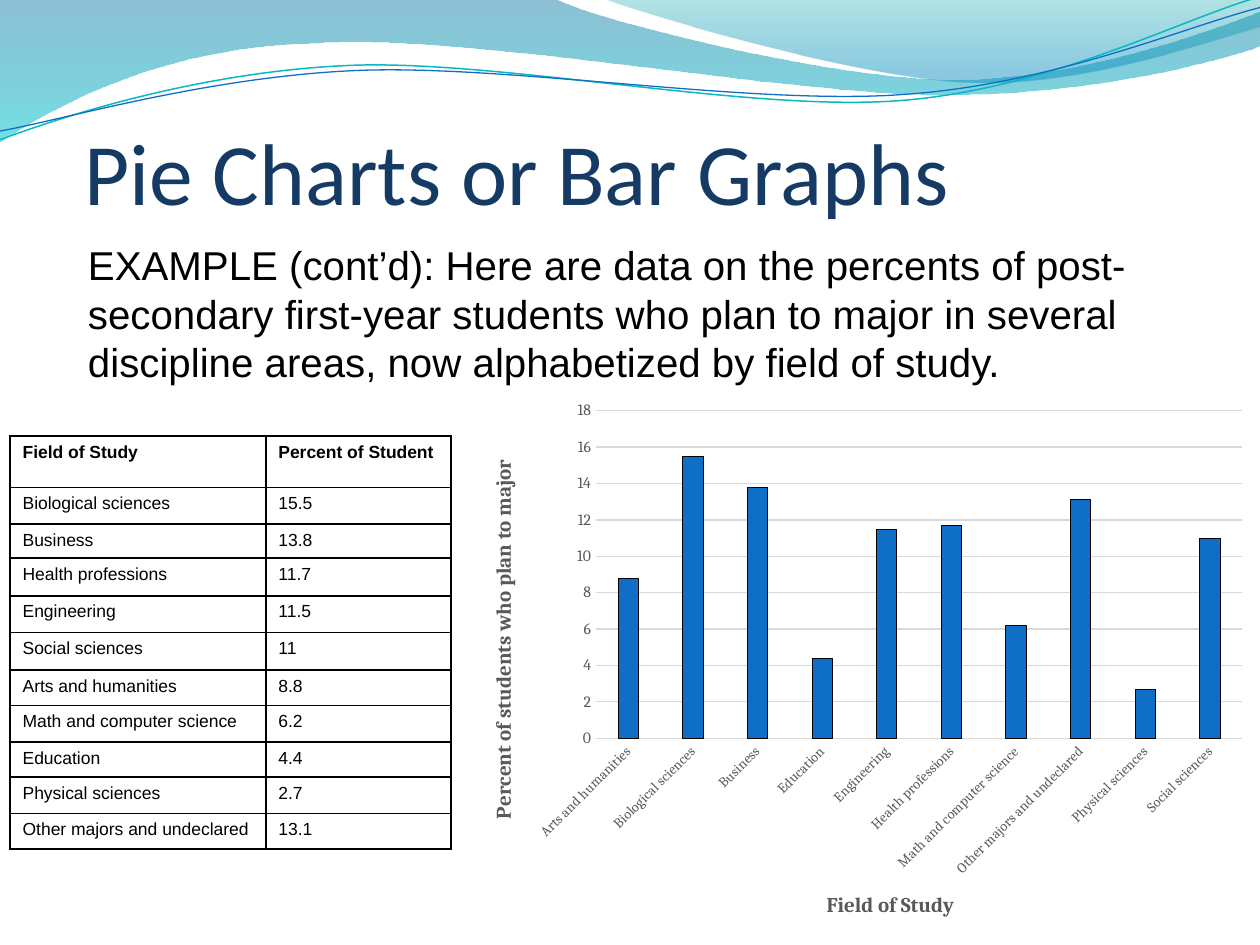
from dataclasses import dataclass
from typing import Optional

from lxml import etree
from pptx import Presentation, util as u
from pptx.chart import data as chart_data
from pptx.dml import color as dml
from pptx.enum import chart as ch, text as tx
from pptx.oxml import ns

INK, GREY, GRID, BLUE = "000000", "595959", "D9D9D9", "0F6FC6"
CHART_WIDTH, CHART_HEIGHT = 6.32, 4.4


@dataclass
class GradientStop:
    position: float
    color: str
    opacity: int


@dataclass
class Wave:
    """A start point, then segments: (x, y) is a line, six numbers are a Bezier curve."""
    start: tuple
    segments: list
    stops: tuple = ()
    line: Optional[str] = None
    width: float = 0


WAVES = [
    Wave((0, 0), [(4.4, -0.01), (4.76, 0.17, 6.64, 0.63, 7.58, 0.63),
                  (8.53, 0.63, 9.58, 0.26, 10, 0.09), (10.01, 0.36),
                  (9.83, 0.44, 8.7, 0.76, 7.46, 0.75), (6.22, 0.75, 3.82, 0.28, 2.57, 0.34),
                  (1.29, 0.36, 0.46, 0.83, -0.01, 1.13), (0, 0)],
         stops=(GradientStop(0, "0074A1", 45), GradientStop(1, "00C6CF", 55))),
    Wave((4.79, -0.01), [(5.09, 0.11, 6.82, 0.62, 7.69, 0.65),
                         (8.56, 0.69, 9.61, 0.32, 10, 0.21), (10, 0), (4.79, -0.01)],
         stops=(GradientStop(0, "00A1A9", 30), GradientStop(0.8, "008BBF", 45))),
    Wave((0, 1.11), [(0.48, 0.93, 1.58, 0.57, 2.77, 0.52), (3.95, 0.47, 5.93, 0.89, 7.13, 0.8),
                     (8.33, 0.71, 9.38, 0.15, 9.98, -0.02)], line="0AB8BF", width=0.85),
    Wave((0, 1.04), [(0.47, 0.96, 1.64, 0.61, 2.83, 0.56), (4.03, 0.51, 5.97, 0.84, 7.17, 0.75),
                     (8.36, 0.67, 9.41, 0.21, 10, 0.06)], line=BLUE, width=0.75),
]

MAJORS = [
    ("Biological sciences", 15.5), ("Business", 13.8), ("Health professions", 11.7),
    ("Engineering", 11.5), ("Social sciences", 11), ("Arts and humanities", 8.8),
    ("Math and computer science", 6.2), ("Education", 4.4), ("Physical sciences", 2.7),
    ("Other majors and undeclared", 13.1),
]
ROW_HEIGHTS = [0.41, 0.29, 0.27, 0.3, 0.29, 0.3, 0.28, 0.29, 0.28, 0.29, 0.28]


def rgb(value: str) -> dml.RGBColor:
    return dml.RGBColor.from_string(value)


def box(*lengths: float) -> list:
    return [u.Inches(length) for length in lengths]


def format_font(font, name: str, size: float, color: str, bold: bool = False) -> None:
    font.name, font.size, font.bold = name, u.Pt(size), bold
    font.color.rgb = rgb(color)


def write(frame, text: str, *, font: str = "Arial", size: float = 10, color: str = INK,
          bold: bool = False, spacing: Optional[float] = None) -> None:
    frame.word_wrap = True
    paragraph = frame.paragraphs[0]
    paragraph.alignment = tx.PP_ALIGN.LEFT
    paragraph.line_spacing = spacing
    run = paragraph.add_run()
    run.text = text
    format_font(run.font, font, size, color, bold)


def bend(shape, segments: list) -> None:
    """Join the straight steps through each curve's control points into one Bezier curve."""
    steps = iter(list(shape._element.spPr.iter(ns.qn("a:lnTo"))))
    for segment in segments:
        first, *others = [next(steps) for _ in range(len(segment) // 2)]
        if not others:
            continue
        curve = etree.Element(ns.qn("a:cubicBezTo"))
        first.addprevious(curve)
        for step in (first, *others):
            curve.append(step[0])
            step.getparent().remove(step)


def draw_wave(slide, wave: Wave) -> None:
    points = [box(*segment[i:i + 2]) for segment in wave.segments
              for i in range(0, len(segment), 2)]
    builder = slide.shapes.build_freeform(*box(*wave.start))
    builder.add_line_segments(points, close=bool(wave.stops))
    shape = builder.convert_to_shape()
    bend(shape, wave.segments)
    shape.shadow.inherit = False
    if wave.line:
        shape.fill.background()
        shape.line.color.rgb = rgb(wave.line)
        shape.line.width = u.Pt(wave.width)
        return
    shape.line.fill.background()
    shape.fill.gradient()
    shape.fill.gradient_angle = 270
    for target, stop in zip(shape.fill.gradient_stops, wave.stops):
        target.position = stop.position
        target.color.rgb = rgb(stop.color)
    for element, stop in zip(shape._element.spPr.iter(ns.qn("a:srgbClr")), wave.stops):
        etree.SubElement(element, ns.qn("a:alpha"), val=str(stop.opacity * 1000))


def place(element, index: int, **inches: float) -> None:
    """Give a chart part a manual layout, in inches from the chart's corner."""
    for old in element.findall(ns.qn("c:layout")):
        element.remove(old)
    layout = etree.Element(ns.qn("c:layout"))
    manual = etree.SubElement(layout, ns.qn("c:manualLayout"))
    values = {"xMode": "edge", "yMode": "edge"}
    if "w" in inches:
        values = {"layoutTarget": "inner", **values}
    for name, length in inches.items():
        values[name] = length / (CHART_WIDTH if name in "xw" else CHART_HEIGHT)
    for name, value in values.items():
        etree.SubElement(manual, ns.qn(f"c:{name}"), val=str(value))
    element.insert(index, layout)


def format_axis(axis, title: str, label_size: float, x: float, y: float) -> None:
    axis.major_tick_mark = axis.minor_tick_mark = ch.XL_TICK_MARK.NONE
    format_font(axis.tick_labels.font, "Cambria", label_size, GREY)
    write(axis.axis_title.text_frame, title, font="Cambria", size=12, color=GREY, bold=True)
    place(axis.axis_title._element, 1, x=x, y=y)


def add_major_chart(slide) -> None:
    data = chart_data.CategoryChartData()
    by_name = sorted(MAJORS)
    data.categories = [name for name, _ in by_name]
    data.add_series("Series 1", [percent for _, percent in by_name])
    chart = slide.shapes.add_chart(ch.XL_CHART_TYPE.COLUMN_CLUSTERED,
                                   *box(3.68, 3.1, CHART_WIDTH, CHART_HEIGHT), data).chart
    chart.has_title = chart.has_legend = False
    format_font(chart.font, "Cambria", 10, INK)
    plot = chart.plots[0]
    plot.vary_by_categories = False
    plot.gap_width, plot.overlap = 219, -27
    bars = plot.series[0].format
    bars.fill.solid()
    bars.fill.fore_color.rgb = rgb(BLUE)
    bars.line.color.rgb = rgb(INK)
    bars.line.width = u.Pt(0.5)

    category, value = chart.category_axis, chart.value_axis
    format_axis(category, "Field of Study", 8, 2.85, 3.95)
    format_axis(value, "Percent of students who plan to major", 9, 0.18, 0.52)
    value.minimum_scale, value.maximum_scale, value.major_unit = 0, 18, 2
    value.format.line.fill.background()
    for line in (category.format.line, value.major_gridlines.format.line):
        line.color.rgb = rgb(GRID)
        line.width = u.Pt(0.75)
    labels = category._element.find(ns.qn("c:txPr"))
    labels.find(ns.qn("a:bodyPr")).set("rot", str(-45 * 60000))
    title_body = next(value.axis_title._element.iter(ns.qn("a:bodyPr")))
    title_body.set("rot", str(-90 * 60000))
    title_body.set("vert", "horz")
    plot_area = next(chart._chartSpace.iter(ns.qn("c:plotArea")))
    place(plot_area, 0, x=1.05, y=0.16, w=5.13, h=2.6)


def format_cell(cell, text: str, bold: bool) -> None:
    write(cell.text_frame, text, bold=bold)
    properties = cell._tc.get_or_add_tcPr()
    for side in "LRTB":
        border = etree.SubElement(properties, ns.qn(f"a:ln{side}"), w=str(u.Pt(1)))
        fill = etree.SubElement(border, ns.qn("a:solidFill"))
        etree.SubElement(fill, ns.qn("a:srgbClr"), val=INK)
    cell.fill.solid()
    cell.fill.fore_color.rgb = rgb("FFFFFF")


def add_major_table(slide) -> None:
    rows = [("Field of Study", "Percent of Student"), *MAJORS]
    table = slide.shapes.add_table(len(rows), 2, *box(0.08, 3.46, 3.5, sum(ROW_HEIGHTS))).table
    table.first_row = table.horz_banding = False
    for column, width in zip(table.columns, box(2.03, 1.47)):
        column.width = width
    for index, (row, values) in enumerate(zip(table.rows, rows)):
        row.height = u.Inches(ROW_HEIGHTS[index])
        for cell, value in zip(row.cells, values):
            format_cell(cell, str(value), bold=index == 0)


def main() -> None:
    presentation = Presentation()
    presentation.slide_width, presentation.slide_height = box(10, 7.5)
    slide = presentation.slides.add_slide(presentation.slide_layouts[5])
    for wave in WAVES:
        draw_wave(slide, wave)

    title = slide.shapes.title
    slide.shapes._spTree.append(title._element)  # in front of the waves
    title.left, title.top, title.width, title.height = box(0.67, 0.69, 8.83, 1.09)
    frame = title.text_frame
    frame.margin_left = frame.margin_right = frame.margin_bottom = 0
    frame.vertical_anchor = tx.MSO_ANCHOR.BOTTOM
    write(frame, "Pie Charts or Bar Graphs", font="Calibri", size=50, color="153B65", spacing=0.9)

    example = slide.shapes.add_textbox(*box(0.6, 1.86, 9.2, 1.25))
    write(example.text_frame,
          "EXAMPLE (cont’d): Here are data on the percents of post-secondary first-year students "
          "who plan to major in several discipline areas, now alphabetized by field of study.",
          size=23)
    add_major_chart(slide)
    add_major_table(slide)
    presentation.save("out.pptx")


if __name__ == "__main__":
    main()
